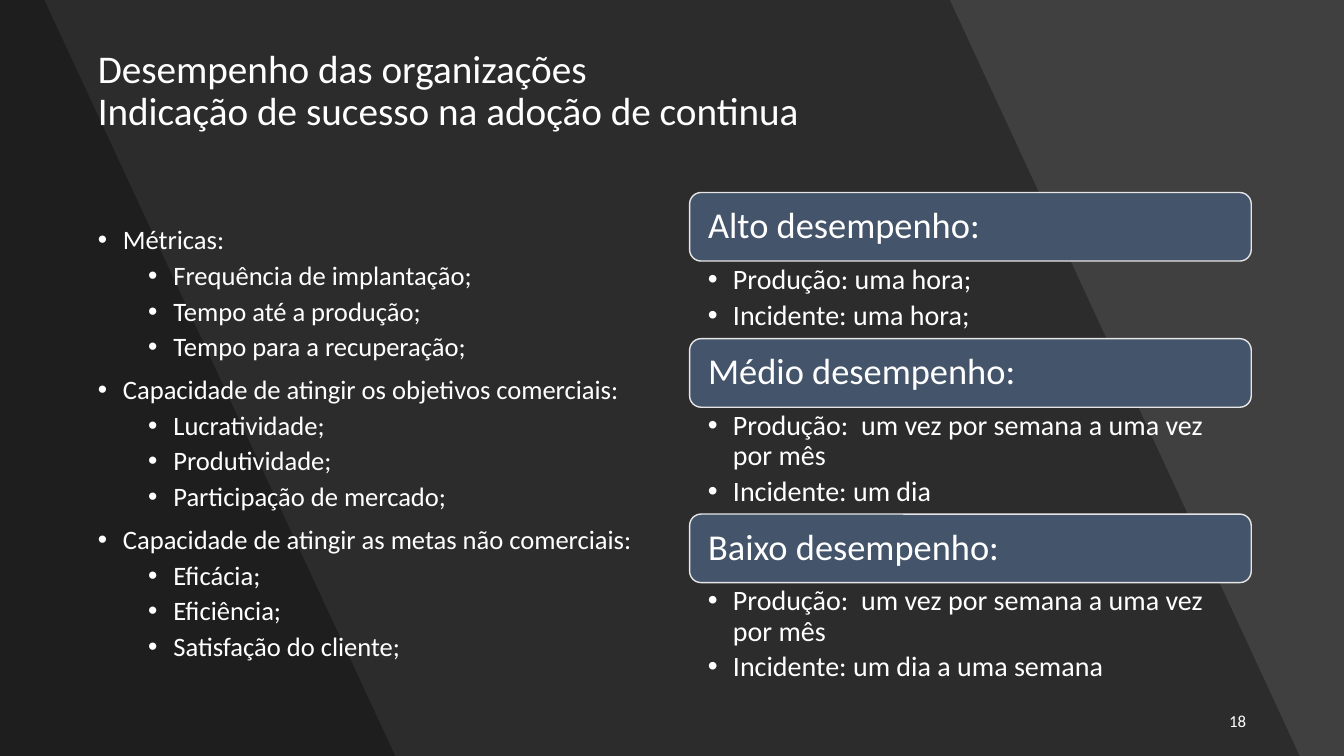
from lxml import etree
from pptx import Presentation
from pptx.dml.color import RGBColor
from pptx.enum.shapes import MSO_SHAPE
from pptx.enum.text import MSO_ANCHOR, PP_ALIGN
from pptx.oxml.ns import qn
from pptx.util import Pt

PX = 9144
ROUNDED = MSO_SHAPE.ROUNDED_RECTANGLE
TOP, MIDDLE = MSO_ANCHOR.TOP, MSO_ANCHOR.MIDDLE
LEFT, RIGHT = PP_ALIGN.LEFT, PP_ALIGN.RIGHT
CHARCOAL = RGBColor(0x40, 0x40, 0x40)
BLACK = RGBColor(0x00, 0x00, 0x00)
WHITE = RGBColor(0xFF, 0xFF, 0xFF)
SLATE = RGBColor(0x44, 0x54, 0x6A)
SILVER = RGBColor(0xE7, 0xE6, 0xE6)

METRICS = [
    ("Métricas:", ["Frequência de implantação;", "Tempo até a produção;",
                   "Tempo para a recuperação;"]),
    ("Capacidade de atingir os objetivos comerciais:",
     ["Lucratividade;", "Produtividade;", "Participação de mercado;"]),
    ("Capacidade de atingir as metas não comerciais:",
     ["Eficácia;", "Eficiência;", "Satisfação do cliente;"]),
]
PANELS = [
    ("Alto desempenho:", 72, ["Produção: uma hora;", "Incidente: uma hora;"]),
    ("Médio desempenho:", 101,
     ["Produção:  um vez por semana a uma vez por mês", "Incidente: um dia"]),
    ("Baixo desempenho:", 101,
     ["Produção:  um vez por semana a uma vez por mês",
      "Incidente: um dia a uma semana"]),
]


class Deck:
    font = "Calibri"
    color = WHITE

    def __init__(self, width, height):
        self.prs = Presentation()
        self.prs.slide_width = width * PX
        self.prs.slide_height = height * PX
        self.s = self.prs.slides.add_slide(self.prs.slide_layouts[6])

    def background(self, color):
        fill = self.s.background.fill
        fill.solid()
        fill.fore_color.rgb = color

    def band(self, points, color, opacity):
        builder = self.s.shapes.build_freeform(*points[0], scale=PX)
        builder.add_line_segments(points[1:], close=True)
        sp = builder.convert_to_shape()
        sp.shadow.inherit = False
        sp.fill.solid()
        sp.fill.fore_color.rgb = color
        sp.line.fill.background()
        clr = sp.fill._xPr.find(qn("a:solidFill"))[0]
        etree.SubElement(clr, qn("a:alpha"), val=str(opacity * 1000))

    def frame(self, sp, insets, anchor, wrap=True):
        tf = sp.text_frame
        tf.word_wrap = wrap
        tf.vertical_anchor = anchor
        (tf.margin_left, tf.margin_top,
         tf.margin_right, tf.margin_bottom) = [v * PX for v in insets]
        return tf

    def text_box(self, x, y, w, h, insets, anchor=TOP, wrap=True):
        sp = self.s.shapes.add_textbox(x * PX, y * PX, w * PX, h * PX)
        return self.frame(sp, insets, anchor, wrap)

    def header_bar(self, x, y, w, h, text):
        sp = self.s.shapes.add_shape(ROUNDED, x * PX, y * PX, w * PX, h * PX)
        sp.shadow.inherit = False
        sp.fill.solid()
        sp.fill.fore_color.rgb = SLATE
        sp.line.color.rgb = SILVER
        sp.line.width = Pt(1)
        self.paragraph(self.frame(sp, [15] * 4, MIDDLE), [text], 26, before=10)

    def paragraph(self, tf, lines, size, before=0, spacing=0.9, align=LEFT):
        p = tf.paragraphs[0]
        if p.runs:
            p = tf.add_paragraph()
        p.alignment = align
        p.line_spacing = spacing
        p.space_before = Pt(before)
        for i, line in enumerate(lines):
            if i:
                p.add_line_break()
            r = p.add_run()
            r.text = line
            r.font.name = self.font
            r.font.size = Pt(size)
            r.font.color.rgb = self.color
        return p

    def bullet(self, tf, text, size, before, margin, level=0):
        p = self.paragraph(tf, [text], size, before)
        p.level = level
        pPr = p._p.get_or_add_pPr()
        pPr.set("marL", str(margin * PX))
        pPr.set("indent", str(-25 * PX))
        etree.SubElement(pPr, qn("a:buFont"), typeface="Arial")
        etree.SubElement(pPr, qn("a:buChar"), char="•")


def main():
    deck = Deck(1333, 750)
    deck.background(CHARCOAL)
    for top_x, bottom_x in [(942, 1289), (44, 392)]:
        deck.band([(0, 0), (top_x, 0), (bottom_x, 750), (0, 750)], BLACK, 30)

    title = deck.text_box(92, 40, 1150, 145, [5, 5, 5, 48], MIDDLE)
    deck.paragraph(title, ["Desempenho das organizações",
                           "Indicação de sucesso na adoção de continua"], 28)

    body = deck.text_box(92, 220, 557, 456, [5] * 4)
    for heading, items in METRICS:
        deck.bullet(body, heading, 19, 10, 25)
        for item in items:
            deck.bullet(body, item, 19, 5, 75, level=1)

    y, bar_height, gap = 191, 68, 5
    for heading, height, items in PANELS:
        deck.header_bar(684, y, 557, bar_height, heading)
        y += bar_height
        details = deck.text_box(698, y, 527, height, [4] * 4)
        for item in items:
            deck.bullet(details, item, 20, 4, 25, level=1)
        y += height + gap

    number = deck.text_box(1213, 702, 28, 27, [5] * 4, MIDDLE, wrap=False)
    deck.paragraph(number, ["18"], 12, spacing=1.0, align=RIGHT)
    deck.prs.save("out.pptx")


if __name__ == "__main__":
    main()
